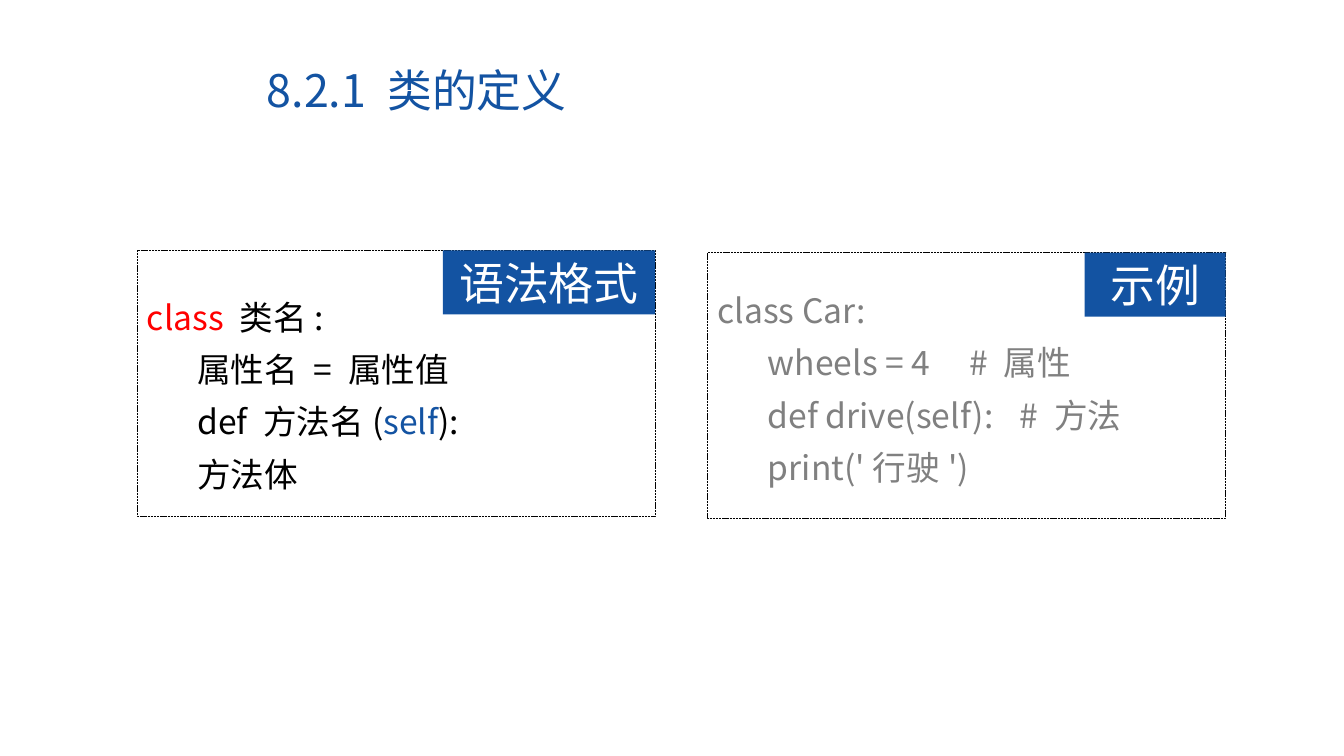
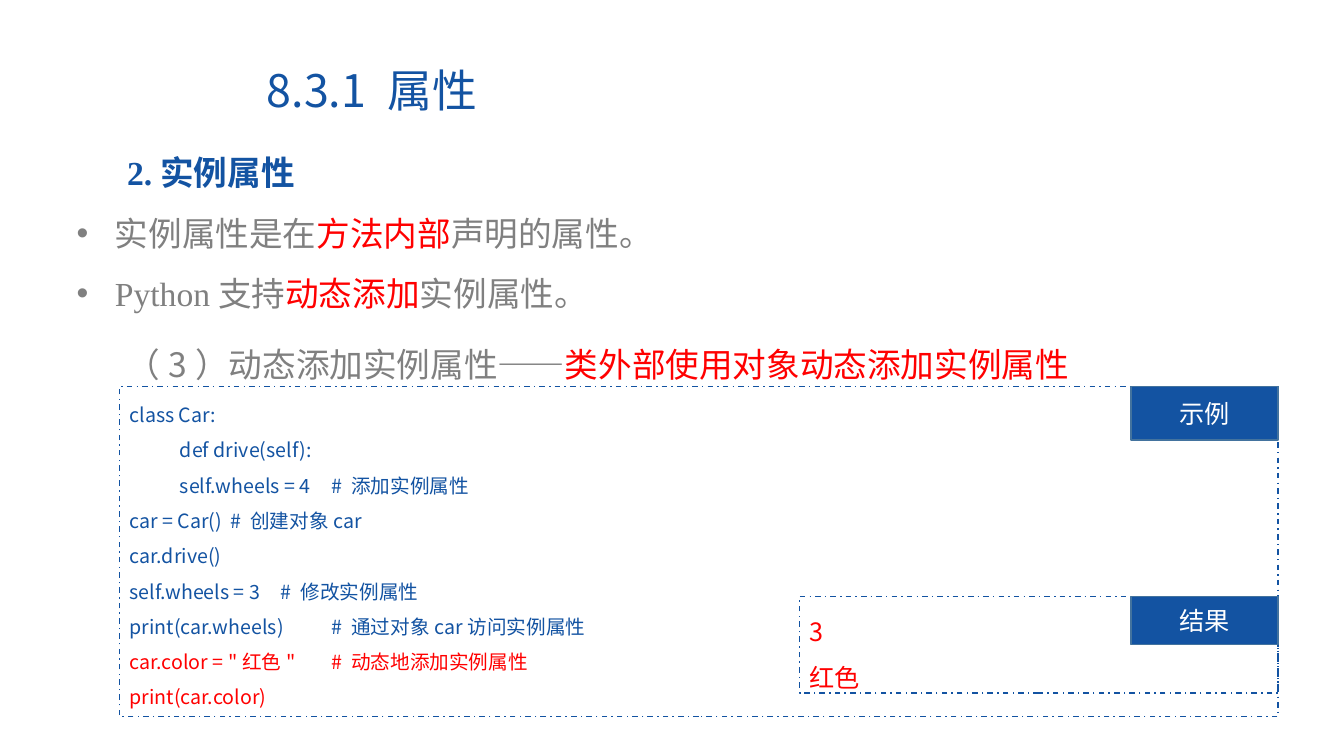
from dataclasses import dataclass

from lxml import etree
from pptx import Presentation
from pptx.dml.color import RGBColor
from pptx.enum.dml import MSO_LINE
from pptx.enum.shapes import MSO_SHAPE
from pptx.enum.text import MSO_ANCHOR, MSO_AUTO_SIZE, PP_ALIGN
from pptx.oxml.ns import qn
from pptx.util import Emu, Inches, Pt

RECTANGLE = MSO_SHAPE.RECTANGLE
SHORT_DASH, DASH_DOT = MSO_LINE.SQUARE_DOT, MSO_LINE.DASH_DOT
TOP, MIDDLE = MSO_ANCHOR.TOP, MSO_ANCHOR.MIDDLE
LEFT, CENTER = PP_ALIGN.LEFT, PP_ALIGN.CENTER
NO_AUTOFIT = MSO_AUTO_SIZE.NONE

SLIDE_WIDTH, SLIDE_HEIGHT = Inches(13.33), Inches(7.5)
TITLE_AND_BODY, TITLE_ONLY = 1, 5
SANS, SERIF = "Noto Sans CJK SC", "Times New Roman"
BLUE, EDGE_BLUE, RED = "1353A2", "43739E", "FF0000"
GRAY, BLACK, WHITE = "808080", "000000", "FFFFFF"


@dataclass(frozen=True)
class Area:
    """A rectangle in percent of the slide's width and height."""
    left: float
    top: float
    width: float
    height: float

    def emu(self) -> tuple[Emu, Emu, Emu, Emu]:
        return (Emu(int(SLIDE_WIDTH * self.left / 100)),
                Emu(int(SLIDE_HEIGHT * self.top / 100)),
                Emu(int(SLIDE_WIDTH * self.width / 100)),
                Emu(int(SLIDE_HEIGHT * self.height / 100)))


@dataclass(frozen=True)
class Span:
    text: str
    color: str


@dataclass(frozen=True)
class Line:
    """One paragraph; tabs, margin and indent are in inches."""
    spans: tuple[Span, ...]
    tabs: tuple[float, ...] = ()
    margin: float = 0
    indent: float = 0
    bullet: str = ""
    bold: bool = False


@dataclass(frozen=True)
class TextStyle:
    size: float
    spacing: float = 1
    font: str = SANS
    align: PP_ALIGN = LEFT


@dataclass(frozen=True)
class Badge:
    text: str
    width: float
    height: float
    size: float
    edge: str = ""


@dataclass(frozen=True)
class Panel:
    """A dashed frame with text and a badge in its top right corner."""
    area: Area
    badge: Badge
    lines: tuple[Line, ...]
    style: TextStyle
    edge: str = BLUE
    edge_width: float = 1
    dash: MSO_LINE = DASH_DOT
    top_inset: float = 0.05


TITLE_AREA = Area(19.1, 8.4, 68.6, 7.9)
TITLE_STYLE = TextStyle(32, 0.9)
SYNTAX_STYLE = TextStyle(24, 1.3)
CODE_STYLE = TextStyle(14, 1.5)
RESULT_STYLE = TextStyle(18, 1.5)


def line(text: str, color: str, *tabs: float) -> Line:
    return Line((Span(text, color),), tabs)


DEFINITION_PANELS = (
    Panel(Area(10.2, 33.1, 38.55, 35.2), Badge("语法格式", 15.8, 8.5, 32), (
        Line((Span("class ", RED), Span("类名:", BLACK))),
        line("\t属性名 = 属性值", BLACK, 0.52),
        Line((Span("\tdef 方法名(", BLACK), Span("self", BLUE),
              Span("):", BLACK)), (0.52,)),
        line("\t方法体", BLACK, 1.04),
    ), SYNTAX_STYLE, BLACK, 0.5, SHORT_DASH, 0.34),
    Panel(Area(52.65, 33.4, 38.55, 35.2), Badge("示例", 10.5, 8.5, 32), (
        line("class Car:", GRAY),
        line("\twheels = 4\t# 属性", GRAY, 0.45, 3.31),
        line("\tdef drive(self):\t# 方法", GRAY, 0.45, 3.05),
        line("\tprint('行驶')", GRAY, 0.97),
    ), SYNTAX_STYLE, BLACK, 0.5, SHORT_DASH, 0.25),
)

ATTRIBUTE_AREA = Area(4.95, 16.8, 90.1, 25.6)
ATTRIBUTE_LINES = (
    Line((Span("2.实例属性", BLUE),), indent=0.5, bold=True),
    Line((Span("实例属性是在", GRAY), Span("方法内部", RED),
          Span("声明的属性。", GRAY)), margin=0.38, indent=-0.38, bullet="•"),
    Line((Span("Python支持", GRAY), Span("动态添加", RED),
          Span("实例属性。", GRAY)), margin=0.38, indent=-0.38, bullet="•"),
)

SUBHEADING_AREA = Area(4.95, 42.1, 90.1, 8.5)
SUBHEADING = Line((Span("（3）动态添加实例属性——", GRAY),
                   Span("类外部使用对象动态添加实例属性", RED)), indent=0.5)

ATTRIBUTE_PANELS = (
    Panel(Area(8.9, 51.1, 86.2, 43.7), Badge("示例", 10.95, 7.1, 18, EDGE_BLUE), (
        line("class Car:", BLUE),
        line("\tdef drive(self):", BLUE, 0.18),
        line("\tself.wheels = 4\t# 添加实例属性", BLUE, 0.35, 2.48),
        line("car = Car()\t# 创建对象car", BLUE, 2.41),
        line("car.drive()", BLUE),
        line("self.wheels = 3\t# 修改实例属性", BLUE, 2.53),
        line("print(car.wheels)\t# 通过对象car访问实例属性", BLUE, 2.62),
        line("car.color = \"红色\"\t# 动态地添加实例属性", RED, 2.7),
        line("print(car.color)", RED),
    ), CODE_STYLE),
    Panel(Area(59.5, 78.9, 35.6, 12.8), Badge("结果", 10.95, 6.4, 18, EDGE_BLUE),
          (line("3", RED), line("红色", RED)), RESULT_STYLE),
)


def rgb(color: str) -> RGBColor:
    return RGBColor.from_string(color)


def add_span(para, span: Span, style: TextStyle, bold: bool) -> None:
    run = para.add_run()
    run.text = span.text
    font = run.font
    font.name, font.size, font.bold = style.font, Pt(style.size), bold
    font.color.rgb = rgb(span.color)
    east_asian = etree.SubElement(run._r.get_or_add_rPr(), qn("a:ea"))
    east_asian.set("typeface", SANS)


def format_paragraph(para, item: Line, style: TextStyle) -> None:
    para.alignment = style.align
    para.line_spacing = style.spacing
    para.space_before = para.space_after = Pt(0)
    properties = para._p.get_or_add_pPr()
    properties.set("marL", str(Inches(item.margin)))
    properties.set("indent", str(Inches(item.indent)))
    if item.bullet:
        font = etree.SubElement(properties, qn("a:buFont"))
        font.set("typeface", "Arial")
        etree.SubElement(properties, qn("a:buChar")).set("char", item.bullet)
    else:
        etree.SubElement(properties, qn("a:buNone"))
    if item.tabs:
        stops = etree.SubElement(properties, qn("a:tabLst"))
        for position in item.tabs:
            stop = etree.SubElement(stops, qn("a:tab"))
            stop.set("pos", str(Inches(position)))
            stop.set("algn", "l")


def write(box, lines: tuple[Line, ...], style: TextStyle,
          anchor: MSO_ANCHOR = TOP) -> None:
    frame = box.text_frame
    frame.word_wrap = True
    frame.auto_size = NO_AUTOFIT
    frame.vertical_anchor = anchor
    for index, item in enumerate(lines):
        para = frame.add_paragraph() if index else frame.paragraphs[0]
        format_paragraph(para, item, style)
        for span in item.spans:
            add_span(para, span, style, item.bold)


def place(box, area: Area) -> None:
    box.left, box.top, box.width, box.height = area.emu()


def add_rectangle(page, area: Area, fill: str = "", edge: str = "",
                  edge_width: float = 1):
    box = page.shapes.add_shape(RECTANGLE, *area.emu())
    box.shadow.inherit = False
    if fill:
        box.fill.solid()
        box.fill.fore_color.rgb = rgb(fill)
    else:
        box.fill.background()
    if edge:
        box.line.color.rgb = rgb(edge)
        box.line.width = Pt(edge_width)
    else:
        box.line.fill.background()
    return box


def add_panel(page, panel: Panel) -> None:
    area, badge = panel.area, panel.badge
    frame = add_rectangle(page, area, edge=panel.edge,
                          edge_width=panel.edge_width)
    frame.line.dash_style = panel.dash
    frame.text_frame.margin_top = Inches(panel.top_inset)
    write(frame, panel.lines, panel.style)

    corner = Area(area.left + area.width - badge.width, area.top,
                  badge.width, badge.height)
    label = add_rectangle(page, corner, BLUE, badge.edge)
    write(label, (line(badge.text, WHITE),),
          TextStyle(badge.size, align=CENTER), MIDDLE)


def add_page(deck, layout: int, title: str):
    page = deck.slides.add_slide(deck.slide_layouts[layout])
    place(page.shapes.title, TITLE_AREA)
    write(page.shapes.title, (line(title, BLUE),), TITLE_STYLE, MIDDLE)
    return page


def add_definition_page(deck) -> None:
    page = add_page(deck, TITLE_ONLY, "8.2.1 类的定义")
    for panel in DEFINITION_PANELS:
        add_panel(page, panel)


def add_attribute_page(deck) -> None:
    page = add_page(deck, TITLE_AND_BODY, "8.3.1 属性")
    body = page.placeholders[1]
    place(body, ATTRIBUTE_AREA)
    write(body, ATTRIBUTE_LINES, TextStyle(24, 1.5, SERIF))
    subheading = page.shapes.add_textbox(*SUBHEADING_AREA.emu())
    write(subheading, (SUBHEADING,), TextStyle(24, 1.5))
    for panel in ATTRIBUTE_PANELS:
        add_panel(page, panel)


def main() -> None:
    deck = Presentation()
    deck.slide_width, deck.slide_height = SLIDE_WIDTH, SLIDE_HEIGHT
    add_definition_page(deck)
    add_attribute_page(deck)
    deck.save("out.pptx")


if __name__ == "__main__":
    main()
